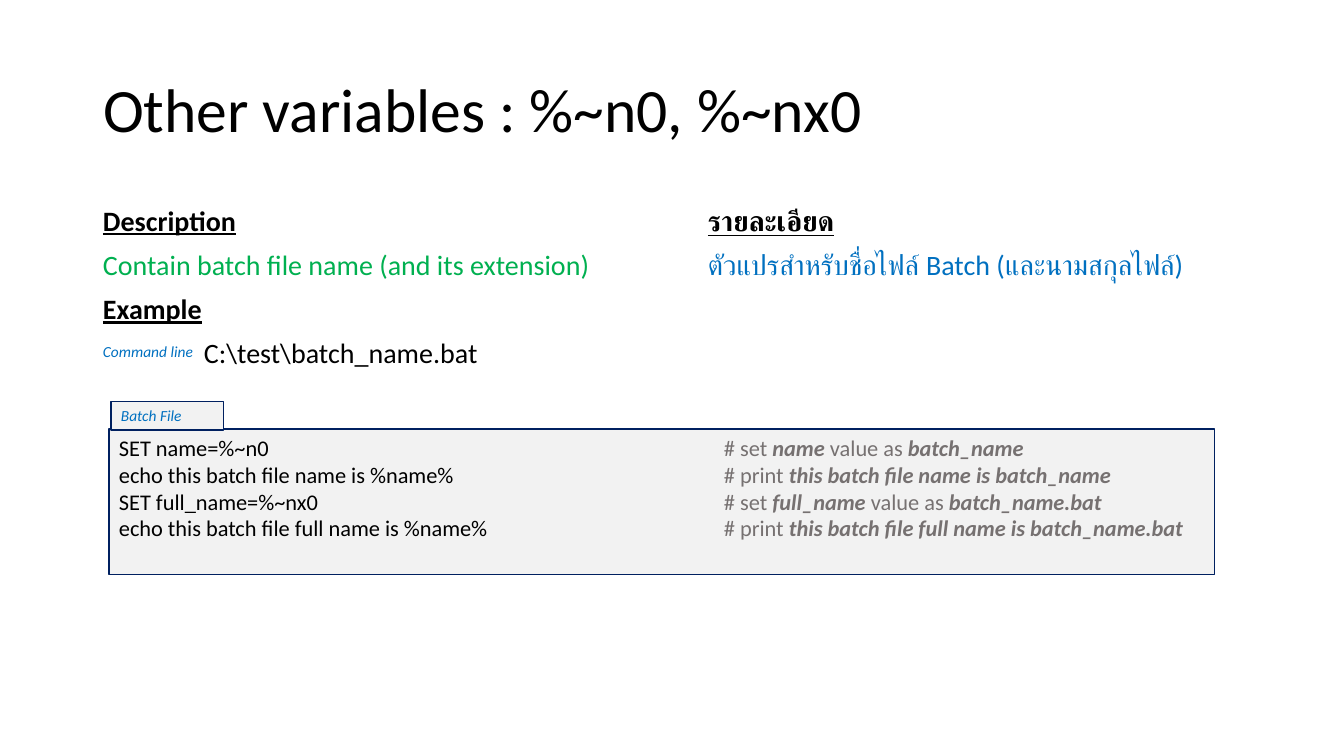
from lxml.etree import SubElement
from pptx import Presentation
from pptx.dml.color import RGBColor as RGB
from pptx.enum.shapes import MSO_SHAPE as Shape
from pptx.enum.text import MSO_ANCHOR as Anchor, PP_ALIGN as Align
from pptx.oxml.ns import qn
from pptx.util import Pt

PX = 914400 / 100.8
FONT = "Calibri"
COL = {"ink": "000000", "green": "00B050", "blue": "0070C0",
       "note": "767171", "pale": "F2F2F2", "navy": "002060"}

# Each line is a list of runs: (text, colour, style letters)
TITLE = [[("Other variables : %~n0, %~nx0", "ink", "")]]
BODY = [
    [("Description", "ink", "bu"), ("\t", "ink", ""), ("รายละเอียด", "ink", "bu")],
    [("Contain batch file name (and its extension)\t", "green", ""),
     ("ตัวแปรสำหรับชื่อไฟล์ Batch (และนามสกุลไฟล์)", "blue", "")],
    [("Example", "ink", "bu")],
    [("\tC:\\test\\batch_name.bat", "ink", "")],
]
COMMAND = [[("Command line", "blue", "i")]]
FILE = [[("Batch File", "blue", "i")]]

# Code, then its note with plain and stressed parts in turn
CODE = [
    ("SET name=%~n0", ["# set ", "name", " value as ", "batch_name"]),
    ("echo this batch file name is %name%",
     ["# print ", "this batch file name is batch_name"]),
    ("SET full_name=%~nx0",
     ["# set ", "full_name", " value as ", "batch_name.bat"]),
    ("echo this batch file full name is %name%",
     ["# print ", "this batch file full name is batch_name.bat"]),
]

# Left, top, width, height in px
TITLE_BOX = (93, 40, 1159, 146)
BODY_BOX = (93, 202, 1159, 480)
COMMAND_BOX = (93, 337, 113, 29)
CODE_BOX = (109, 429, 1106, 146)
FILE_BOX = (111, 401, 113, 29)
HALF, INDENT = 605, 101


def px(n):
    return round(n * PX)


def write(shape, lines, size, space=None, before=0, stops=(), anchor=Anchor.TOP):
    frame = shape.text_frame
    frame.word_wrap = True
    frame.vertical_anchor = anchor
    for i, line in enumerate(lines):
        para = frame.add_paragraph() if i else frame.paragraphs[0]
        para.alignment = Align.LEFT
        para.space_before = Pt(before)
        if space:
            para.line_spacing = space
        if stops:
            # A line that opens with a tab uses the first stop, others the last
            stop = stops[0] if line[0][0].startswith("\t") else stops[-1]
            tabs = SubElement(para._p.get_or_add_pPr(), qn("a:tabLst"))
            SubElement(tabs, qn("a:tab"), pos=str(px(stop)), algn="l")
        for text, col, style in line:
            run = para.add_run()
            run.text = text
            font = run.font
            font.name, font.size = FONT, Pt(size)
            font.color.rgb = RGB.from_string(COL[col])
            font.bold, font.italic = "b" in style, "i" in style
            font.underline = "u" in style


def label(slide, box, lines, size, **form):
    shape = slide.shapes.add_textbox(*map(px, box))
    write(shape, lines, size, **form)


def panel(slide, box, lines, size, **form):
    shape = slide.shapes.add_shape(Shape.RECTANGLE, *map(px, box))
    shape.shadow.inherit = False
    shape.fill.solid()
    shape.fill.fore_color.rgb = RGB.from_string(COL["pale"])
    shape.line.color.rgb = RGB.from_string(COL["navy"])
    shape.line.width = Pt(0.75)
    write(shape, lines, size, **form)


def code_line(code, note):
    parts = [(text, "note", "bi" if i % 2 else "") for i, text in enumerate(note)]
    return [(code + "\t", "ink", "")] + parts


def main():
    deck = Presentation()
    deck.slide_width, deck.slide_height = px(1344), px(756)
    slide = deck.slides.add_slide(deck.slide_layouts[5])
    title = slide.shapes.title
    title.left, title.top, title.width, title.height = map(px, TITLE_BOX)
    write(title, TITLE, 44, space=0.9, anchor=Anchor.MIDDLE)
    label(slide, BODY_BOX, BODY, 20, space=0.9, before=10, stops=(INDENT, HALF))
    label(slide, COMMAND_BOX, COMMAND, 11)
    panel(slide, CODE_BOX, [code_line(*row) for row in CODE], 16, stops=(HALF,))
    panel(slide, FILE_BOX, FILE, 11)
    deck.save("out.pptx")


if __name__ == "__main__":
    main()
